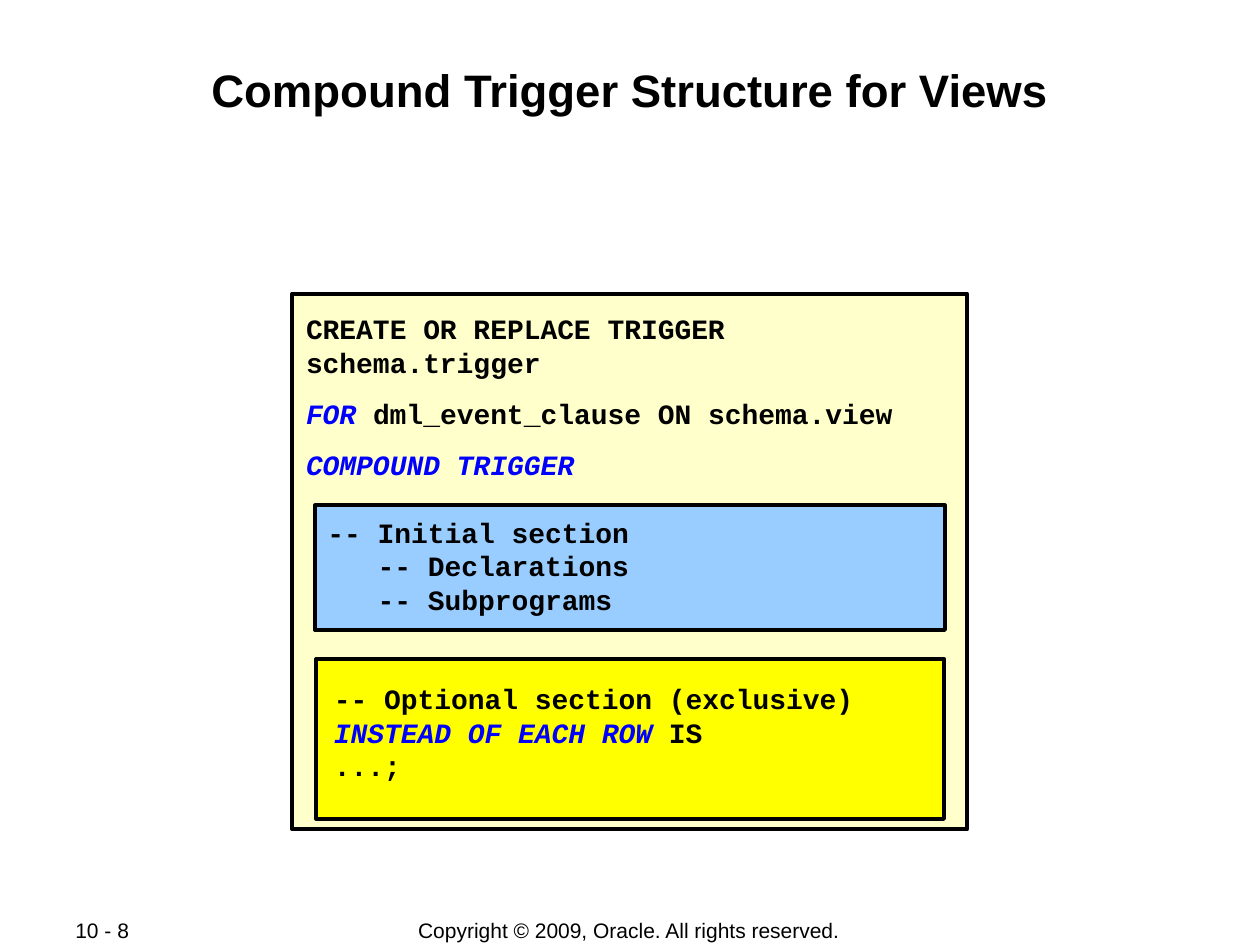
from pptx import Presentation
from pptx.dml.color import RGBColor as RGB
from pptx.enum.shapes import MSO_SHAPE as Shape
from pptx.enum.text import MSO_ANCHOR as Anchor, PP_ALIGN as Align
from pptx.util import Cm, Pt

COLORS = {
    "black": "000000",
    "keyword": "0000FF",
    "cream": "FFFFCC",
    "yellow": "FFFF00",
    "sky": "99CCFF",
}


def color(name):
    return RGB.from_string(COLORS[name])


class SlideBuilder:
    """Holds the style and the current slide."""
    text_font, code_font = "Arial", "Courier New"
    code_size, border = Pt(16), Pt(2.25)

    def __init__(self, prs):
        self.slide = prs.slides.add_slide(prs.slide_layouts[6])

    def frame(self, left, top, width, height, pad_x=0.25, pad_y=0.13):
        tb = self.slide.shapes.add_textbox(Cm(left), Cm(top), Cm(width), Cm(height))
        tf = tb.text_frame
        tf.word_wrap = True
        tf.margin_left = tf.margin_right = Cm(pad_x)
        tf.margin_top = tf.margin_bottom = Cm(pad_y)
        return tf

    def style(self, p, name, size, bold):
        p.font.name, p.font.size, p.font.bold = name, size, bold
        p.font.color.rgb = color("black")

    def label(self, text, box, size, align, bold=False, anchor=Anchor.MIDDLE, **pads):
        tf = self.frame(*box, **pads)
        tf.vertical_anchor = anchor
        p = tf.paragraphs[0]
        p.text, p.alignment = text, align
        self.style(p, self.text_font, Pt(size), bold)

    def panel(self, fill, box):
        sp = self.slide.shapes.add_shape(Shape.RECTANGLE, *map(Cm, box))
        sp.shadow.inherit = False
        sp.fill.solid()
        sp.fill.fore_color.rgb = color(fill)
        sp.line.color.rgb = color("black")
        sp.line.width = self.border

    def code(self, lines, box, gap=0):
        """Each line is a (keyword, plain text) pair."""
        tf = self.frame(*box)
        for i, (keyword, plain) in enumerate(lines):
            p = tf.paragraphs[0] if i == 0 else tf.add_paragraph()
            self.style(p, self.code_font, self.code_size, True)
            if i:
                p.space_before = Pt(gap)
            if keyword:
                r = p.add_run()
                r.text = keyword
                r.font.italic = True
                r.font.color.rgb = color("keyword")
            if plain:
                p.add_run().text = plain


def main():
    prs = Presentation()
    prs.slide_width, prs.slide_height = Cm(25.4), Cm(19.05)
    s = SlideBuilder(prs)

    # Footer
    s.label("Copyright © 2009, Oracle. All rights reserved.",
            (6.98, 18.49, 11.4, 0.53), 12, Align.CENTER, pad_y=0)
    s.label("10 - 8", (1.27, 18.49, 2.69, 0.51), 12, Align.LEFT, pad_y=0)

    # Title
    s.label("Compound Trigger Structure for Views", (1.7, 1.22, 22, 2.44), 26,
            Align.CENTER, bold=True, anchor=Anchor.TOP, pad_x=0.03, pad_y=0.03)

    # Trigger header
    s.panel("cream", (5.89, 5.92, 13.61, 10.8))
    s.code([("", "CREATE OR REPLACE TRIGGER schema.trigger"),
            ("FOR ", "dml_event_clause ON schema.view"),
            ("COMPOUND TRIGGER", "")],
           (5.92, 6.15, 13.56, 3.68), gap=10)

    # Optional section
    s.panel("yellow", (6.38, 13.28, 12.65, 3.23))
    s.code([("", "-- Optional section (exclusive)"),
            ("INSTEAD OF EACH ROW ", "IS"),
            ("", "...;")],
           (6.48, 13.61, 12.22, 2.29))

    # Initial section
    s.panel("sky", (6.35, 10.19, 12.7, 2.51))
    s.code([("", "-- Initial section"),
            ("", "   -- Declarations"),
            ("", "   -- Subprograms")],
           (6.35, 10.26, 10.13, 2.29))

    prs.save("out.pptx")


if __name__ == "__main__":
    main()
